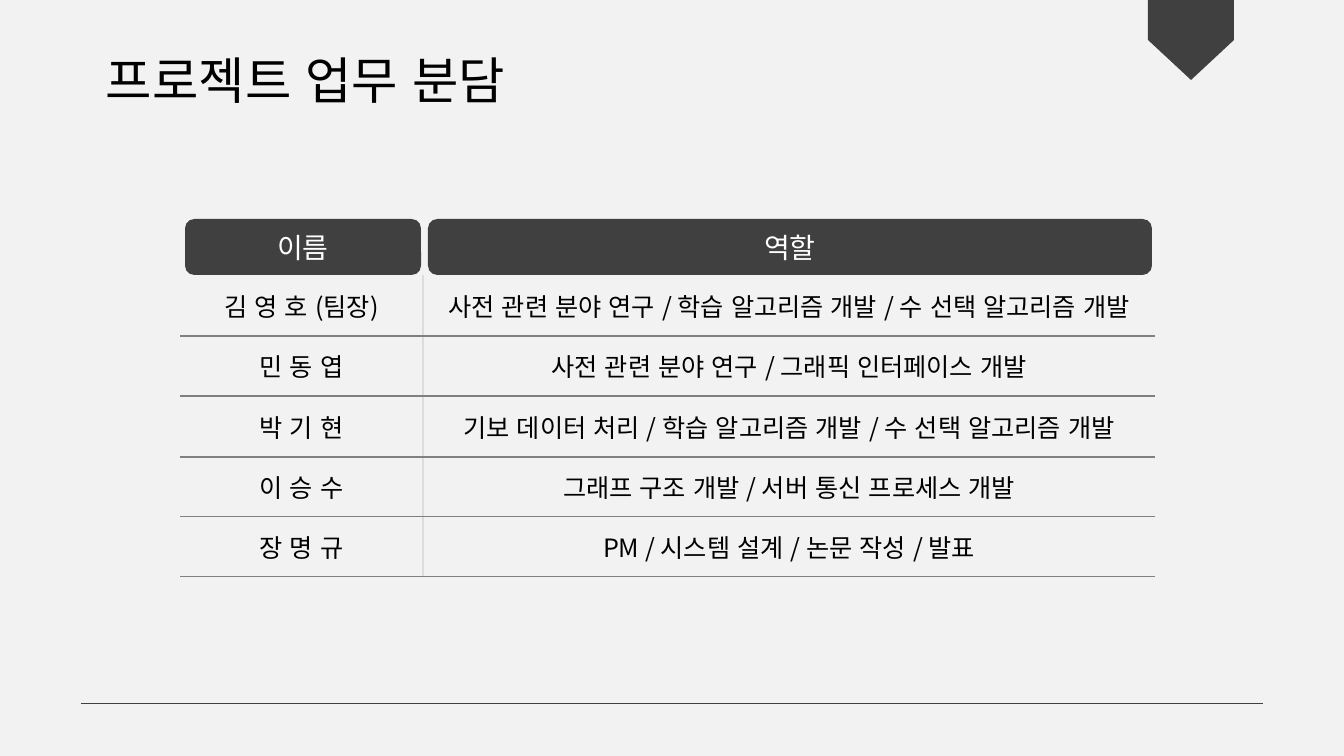
from lxml import etree
from pptx import Presentation
from pptx import util as u
from pptx.dml.color import RGBColor
from pptx.enum import lang, shapes, text
from pptx.oxml.ns import qn

PX = u.Inches(7.5) / 756
FONT = "Noto Sans CJK KR"
COLORS = {"back": "F2F2F2", "dark": "404040", "rule": "808080",
          "split": "DCDCDC", "ink": "000000", "white": "FFFFFF"}


def px(*sizes):
    """Turn pixel lengths into EMU."""
    return [round(size * PX) for size in sizes]


def write(frame, words, size, color, align):
    """Fill a text frame with one styled paragraph."""
    frame.text = words
    para = frame.paragraphs[0]
    para.alignment = align
    for run in para.runs:
        run.font.size = u.Pt(size)
        run.font.name = FONT
        run.font.language_id = lang.MSO_LANGUAGE_ID.KOREAN
        run.font.color.rgb = RGBColor.from_string(COLORS[color])
        run.font._element.set("kern", "0")
        etree.SubElement(run.font._element, qn("a:ea"), typeface=FONT)


deck = Presentation()
deck.slide_width, deck.slide_height = px(1344, 756)
slide = deck.slides.add_slide(deck.slide_layouts[6])
slide.background.fill.solid()
slide.background.fill.fore_color.rgb = RGBColor.from_string(COLORS["back"])

# Title, ribbon and footer line
title = slide.shapes.add_textbox(*px(96, 44, 430, 72))
title.text_frame.word_wrap = False
write(title.text_frame, "프로젝트 업무 분담", 36, "ink", text.PP_ALIGN.LEFT)

ribbon = slide.shapes.add_shape(shapes.MSO_SHAPE.PENTAGON, *px(1151, -3, 80, 86))
ribbon.rotation = 90
ribbon.shadow.inherit = False
ribbon.fill.solid()
ribbon.fill.fore_color.rgb = RGBColor.from_string(COLORS["dark"])
ribbon.line.fill.background()

foot = slide.shapes.add_connector(shapes.MSO_CONNECTOR.STRAIGHT, *px(81, 704, 1263, 704))
foot.line.color.rgb = RGBColor.from_string(COLORS["dark"])
foot.line.width = u.Pt(0.75)
etree.SubElement(foot._element.spPr, qn("a:effectLst"))

# Duty table; its first row lies under the header tabs
duties = [
    ("", ""),
    ("김 영 호 (팀장)", "사전 관련 분야 연구 / 학습 알고리즘 개발 / 수 선택 알고리즘 개발"),
    ("민 동 엽", "사전 관련 분야 연구 / 그래픽 인터페이스 개발"),
    ("박 기 현", "기보 데이터 처리 / 학습 알고리즘 개발 / 수 선택 알고리즘 개발"),
    ("이 승 수", "그래프 구조 개발 / 서버 통신 프로세스 개발"),
    ("장 명 규", "PM / 시스템 설계 / 논문 작성 / 발표"),
]
table = slide.shapes.add_table(len(duties), 2, *px(180, 227, 975, 350)).table
table.first_row = table.horz_banding = False
for column, width in zip(table.columns, px(243, 732)):
    column.width = width
for row, height in zip(table.rows, px(48, 61, 60, 61, 60, 60)):
    row.height = height

for r, duty in enumerate(duties):
    for c, words in enumerate(duty):
        cell = table.cell(r, c)
        cell.vertical_anchor = text.MSO_ANCHOR.MIDDLE
        write(cell.text_frame, words, 18, "ink", text.PP_ALIGN.CENTER)
        edges = dict.fromkeys(("lnL", "lnR", "lnT", "lnB"))
        if r > 0:
            edges["lnR" if c == 0 else "lnL"] = "split"
            edges["lnB"] = "rule"
        if r > 1:
            edges["lnT"] = "rule"
        props = cell._tc.get_or_add_tcPr()
        for edge, color in edges.items():
            line = etree.SubElement(props, qn("a:" + edge), w=str(u.Pt(1)))
            if color:
                fill = etree.SubElement(line, qn("a:solidFill"))
                etree.SubElement(fill, qn("a:srgbClr"), val=COLORS[color])
            else:
                etree.SubElement(line, qn("a:noFill"))
        if r > 0:
            cell.fill.solid()
            cell.fill.fore_color.rgb = RGBColor.from_string(COLORS["back"])
        else:
            cell.fill.background()

# Header tabs
for words, left, width in (("이름", 185, 236), ("역할", 428, 724)):
    tab = slide.shapes.add_shape(shapes.MSO_SHAPE.ROUNDED_RECTANGLE,
                                 *px(left, 219, width, 56))
    tab.shadow.inherit = False
    tab.fill.solid()
    tab.fill.fore_color.rgb = RGBColor.from_string(COLORS["dark"])
    tab.line.fill.background()
    tab.text_frame.vertical_anchor = text.MSO_ANCHOR.MIDDLE
    write(tab.text_frame, words, 20, "white", text.PP_ALIGN.CENTER)

deck.save("out.pptx")
